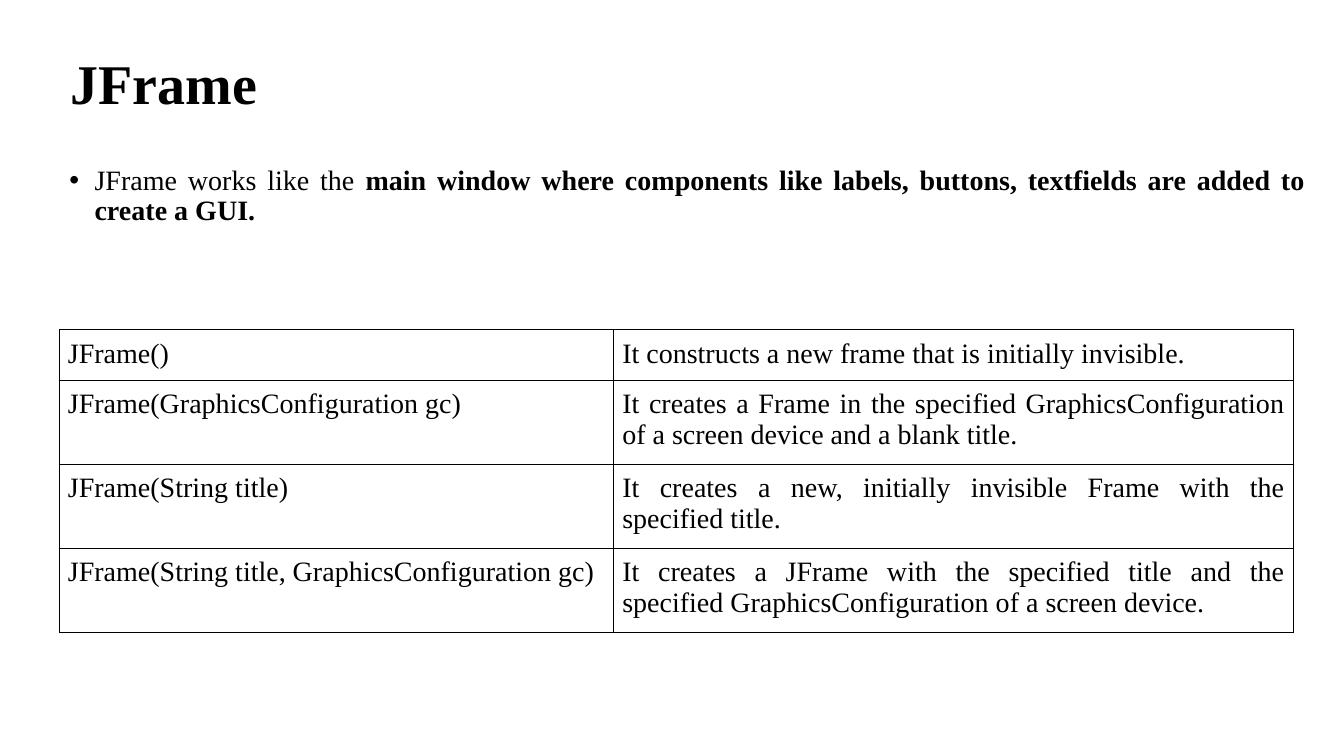
from dataclasses import dataclass

from lxml.etree import SubElement
from pptx import Presentation
from pptx.dml.color import RGBColor
from pptx.enum.text import MSO_ANCHOR, PP_ALIGN
from pptx.oxml.ns import qn
from pptx.util import Pt


@dataclass(frozen=True)
class Theme:
    """Colours, typeface and sizes of the deck."""
    ink: str = "000000"
    paper: str = "FFFFFF"
    face: str = "Times New Roman"
    title: int = 40
    body: int = 20
    border: int = 1


@dataclass(frozen=True)
class Box:
    """A region of the page, in points."""
    left: float
    top: float
    width: float
    height: float

    def lengths(self):
        """Return the four sides as lengths."""
        return Pt(self.left), Pt(self.top), Pt(self.width), Pt(self.height)


THEME = Theme()
PAGE_WIDTH, PAGE_HEIGHT = 960, 540
CELL_INSET = 6
COLUMN_WIDTHS = (396, 485.3)
ROW_HEIGHTS = (34.2, 56.4, 56.4, 56.4)
CONSTRUCTORS = (
    ("JFrame()", "It constructs a new frame that is initially invisible."),
    ("JFrame(GraphicsConfiguration gc)",
     "It creates a Frame in the specified GraphicsConfiguration of a screen device and a blank title."),
    ("JFrame(String title)",
     "It creates a new, initially invisible Frame with the specified title."),
    ("JFrame(String title, GraphicsConfiguration gc)",
     "It creates a JFrame with the specified title and the specified GraphicsConfiguration of a screen device."),
)


def style(para, size, align, bold=None):
    """Set the font and alignment of a paragraph."""
    para.alignment = align
    para.font.name = THEME.face
    para.font.size = Pt(size)
    para.font.bold = bold
    para.font.color.rgb = RGBColor.from_string(THEME.ink)


def add_title(page, box, text):
    """Fill and place the title placeholder."""
    title = page.shapes.title
    title.left, title.top, title.width, title.height = box.lengths()
    frame = title.text_frame
    frame.text = text
    frame.vertical_anchor = MSO_ANCHOR.MIDDLE
    frame.margin_left = Pt(18)
    para = frame.paragraphs[0]
    style(para, THEME.title, PP_ALIGN.LEFT, True)
    para.line_spacing = 0.9


def add_bullet(page, box, lead, emphasis):
    """Add a justified bullet whose second part is bold."""
    frame = page.shapes.add_textbox(*box.lengths()).text_frame
    frame.word_wrap = True
    para = frame.paragraphs[0]
    style(para, THEME.body, PP_ALIGN.JUSTIFY)
    para.line_spacing = 0.9
    para.space_before = Pt(10)
    for text, bold in ((lead, False), (emphasis, True)):
        span = para.add_run()
        span.text = text
        span.font.bold = bold
    properties = para._p.get_or_add_pPr()
    properties.set("marL", str(Pt(18)))
    properties.set("indent", str(Pt(-18)))
    bullet_font = SubElement(properties, qn("a:buFont"), typeface="Arial")
    bullet_font.addnext(SubElement(properties, qn("a:buChar"), char="•"))
    properties.append(properties.find(qn("a:defRPr")))


def add_borders(cell):
    """Draw a line on each side of a cell."""
    properties = cell._tc.get_or_add_tcPr()
    for position, side in enumerate(("lnL", "lnR", "lnT", "lnB")):
        line = SubElement(properties, qn(f"a:{side}"), w=str(Pt(THEME.border)))
        fill = SubElement(line, qn("a:solidFill"))
        SubElement(fill, qn("a:srgbClr"), val=THEME.ink)
        properties.insert(position, line)


def add_constructors(page, box, entries):
    """Add the table of constructors and their descriptions."""
    table = page.shapes.add_table(len(entries), len(COLUMN_WIDTHS), *box.lengths()).table
    table.first_row = table.horz_banding = False
    for column, width in zip(table.columns, COLUMN_WIDTHS):
        column.width = Pt(width)
    for row, height, texts in zip(table.rows, ROW_HEIGHTS, entries):
        row.height = Pt(height)
        for cell, text in zip(row.cells, texts):
            cell.text = text
            cell.margin_left = cell.margin_right = Pt(CELL_INSET)
            cell.margin_top = cell.margin_bottom = Pt(CELL_INSET)
            cell.fill.solid()
            cell.fill.fore_color.rgb = RGBColor.from_string(THEME.paper)
            style(cell.text_frame.paragraphs[0], THEME.body, PP_ALIGN.JUSTIFY)
            add_borders(cell)


def build_page(deck):
    """Add the title-only page about JFrame."""
    page = deck.slides.add_slide(deck.slide_layouts[5])
    add_title(page, Box(32.4, 28.8, 861.8, 65.5), "JFrame")
    add_bullet(page, Box(42.5, 115.2, 897.1, 396), "JFrame works like the ",
               "main window where components like labels, buttons, textfields are added to create a GUI.")
    add_constructors(page, Box(42.5, 235.5, sum(COLUMN_WIDTHS), sum(ROW_HEIGHTS)), CONSTRUCTORS)


def main():
    """Build and save the deck."""
    deck = Presentation()
    deck.slide_width, deck.slide_height = Pt(PAGE_WIDTH), Pt(PAGE_HEIGHT)
    build_page(deck)
    deck.save("out.pptx")


main()
